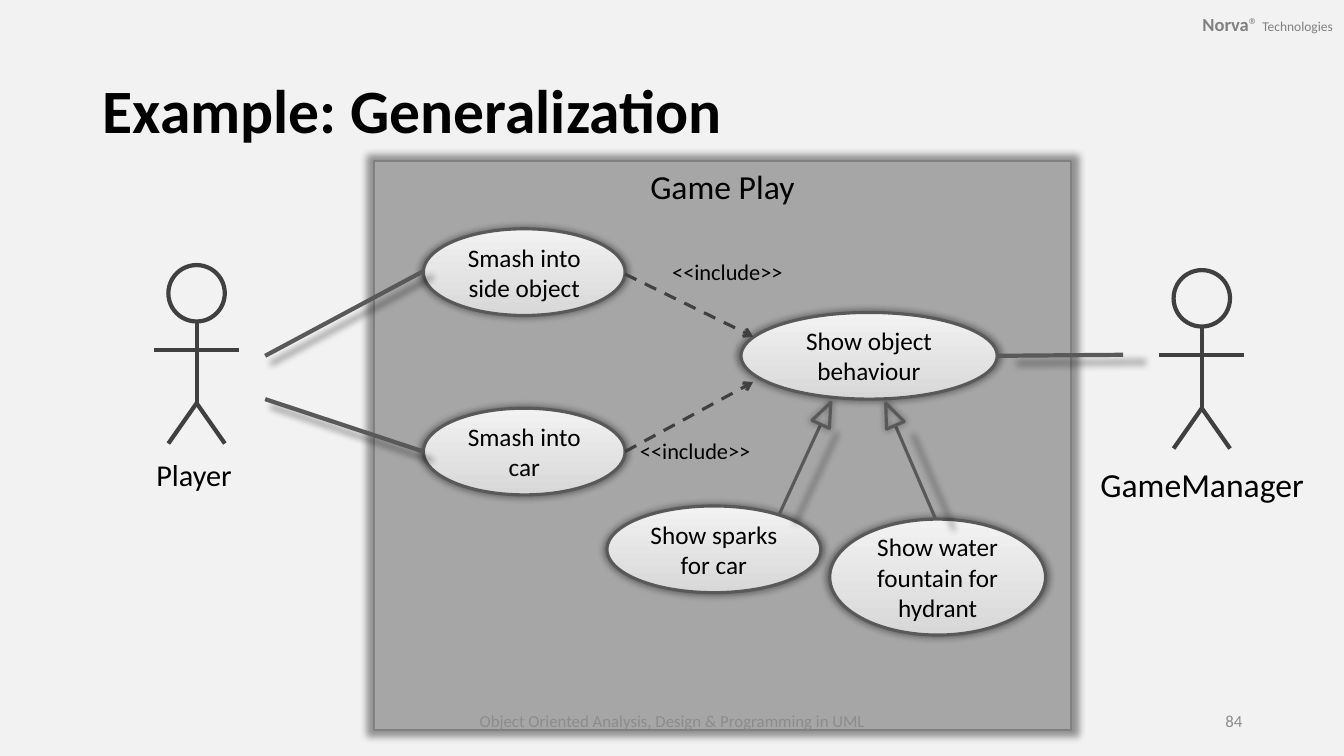
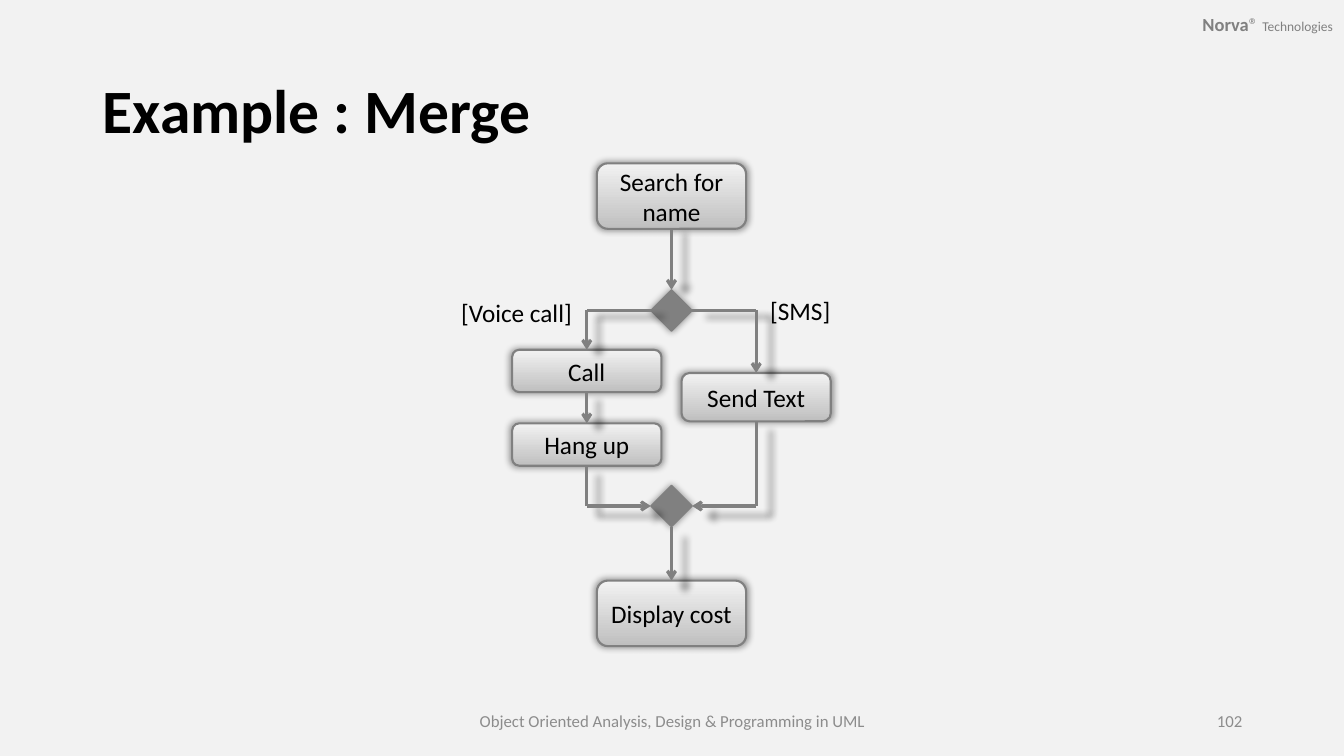
import dataclasses
import math

import lxml.etree
import pptx
import pptx.dml.color
import pptx.enum.dml
import pptx.enum.shapes
import pptx.enum.text
import pptx.oxml.ns
import pptx.util

Inches = pptx.util.Inches
Shape = pptx.enum.shapes.MSO_SHAPE
Align = pptx.enum.text.PP_ALIGN
Anchor = pptx.enum.text.MSO_ANCHOR
TOP, LEFT, BOTTOM, RIGHT = range(4)


@dataclasses.dataclass(frozen=True)
class Theme:
    font: str = "Calibri"
    background: str = "F2F2F2"
    ink: str = "000000"
    muted: str = "8C8C8C"
    grey: str = "808080"
    system: str = "A6A6A6"
    relation: str = "595959"
    actor: str = "404040"
    use_case: tuple = ("D8D8D8", "F2F2F2")
    activity: tuple = ("BFBFBF", "F2F2F2")
    title_size: float = 44
    heading_size: float = 24
    actor_size: float = 21.6
    body_size: float = 18
    include_size: float = 16
    tag_size: float = 13.2
    tag_small_size: float = 9.6
    footer_size: float = 12


THEME = Theme()


def rgb(value):
    return pptx.dml.color.RGBColor.from_string(value)


def write(frame, text, size=THEME.body_size, color=THEME.ink, bold=False,
          alignment=Align.CENTER, anchor=Anchor.MIDDLE):
    frame.word_wrap = True
    frame.vertical_anchor = anchor
    paragraph = frame.paragraphs[0]
    paragraph.alignment = alignment
    run = paragraph.add_run()
    run.text = text
    run.font.name = THEME.font
    run.font.size = pptx.util.Pt(size)
    run.font.bold = bold
    run.font.color.rgb = rgb(color)
    return paragraph


def add_label(shapes, text, left, top, width, height, **text_format):
    box = shapes.add_textbox(Inches(left), Inches(top), Inches(width), Inches(height))
    write(box.text_frame, text, **text_format)
    return box


def child(parent, tag, **attributes):
    return lxml.etree.SubElement(parent, pptx.oxml.ns.qn(tag), **attributes)


def set_effects(shape, shadow):
    effects = child(shape._element.spPr, "a:effectLst")
    if shadow:
        outer = child(effects, "a:outerShdw", blurRad="63500", sx="102000",
                      sy="102000", algn="ctr", rotWithShape="0")
        color = child(outer, "a:srgbClr", val=THEME.ink)
        child(color, "a:alpha", val="40000")


def set_line(shape, color, width):
    shape.line.color.rgb = rgb(color)
    shape.line.width = pptx.util.Pt(width)


def add_figure(shapes, kind, left, top, width, height, fill=None,
               line=THEME.relation, line_width=2.25, shadow=True):
    shape = shapes.add_shape(kind, Inches(left), Inches(top), Inches(width), Inches(height))
    if fill is None:
        shape.fill.background()
    elif isinstance(fill, tuple):
        shape.fill.gradient()
        shape.fill.gradient_angle = 90
        for stop, color in zip(shape.fill.gradient_stops, fill):
            stop.color.rgb = rgb(color)
    else:
        shape.fill.solid()
        shape.fill.fore_color.rgb = rgb(fill)
    set_line(shape, line, line_width)
    set_effects(shape, shadow)
    return shape


def add_line(shapes, begin, end, color=THEME.relation, width=3, shadow=True,
             arrow=False, dashed=False):
    points = [(0, 0) if hasattr(place[0], "shape_id") else place for place in (begin, end)]
    (begin_x, begin_y), (end_x, end_y) = points
    connector = shapes.add_connector(pptx.enum.shapes.MSO_CONNECTOR.STRAIGHT,
                                     Inches(begin_x), Inches(begin_y),
                                     Inches(end_x), Inches(end_y))
    if begin is not points[0]:
        connector.begin_connect(*begin)
    if end is not points[1]:
        connector.end_connect(*end)
    set_line(connector, color, width)
    if dashed:
        connector.line.dash_style = pptx.enum.dml.MSO_LINE.DASH
    if arrow:
        outline = connector._element.spPr.find(pptx.oxml.ns.qn("a:ln"))
        child(outline, "a:tailEnd", type="arrow")
    set_effects(connector, shadow)


def add_actor(slide, left, top):
    shapes = slide.shapes.add_group_shape().shapes
    head = 0.56
    center, neck, arms = left + head / 2, top + head, top + 0.84
    hip, feet = top + 1.37, top + 1.77
    add_figure(shapes, Shape.OVAL, left, top, head, head,
               line=THEME.actor, line_width=3, shadow=False)
    for begin, end in (
        ((center, neck), (center, hip)),
        ((center - 0.42, arms), (center + 0.42, arms)),
        ((center, hip), (left + head, feet)),
        ((left, feet), (center, hip)),
    ):
        add_line(shapes, begin, end, color=THEME.actor, shadow=False)


def add_use_case(slide, text, left, top, width, height=0.86):
    shape = add_figure(slide.shapes, Shape.OVAL, left, top, width, height, THEME.use_case)
    write(shape.text_frame, text)


def add_include(slide, begin, end, label_left, label_top):
    add_line(slide.shapes, begin, end, color=THEME.actor, width=2.25,
             shadow=False, arrow=True, dashed=True)
    add_label(slide.shapes, "<<include>>", label_left, label_top, 1.31, 0.37,
              size=THEME.include_size, anchor=Anchor.TOP)


def add_generalization(slide, begin, end):
    width, height = 0.19, 0.24
    angle = math.atan2(end[0] - begin[0], begin[1] - end[1])
    center_x = end[0] + height / 2 * math.sin(angle)
    center_y = end[1] - height / 2 * math.cos(angle)
    add_line(slide.shapes, begin, end, width=2.25)
    head = add_figure(slide.shapes, Shape.ISOSCELES_TRIANGLE,
                      center_x - width / 2, center_y - height / 2, width, height)
    head.rotation = math.degrees(angle)


def add_activity(slide, text, center, top, height):
    width = 1.48
    shape = add_figure(slide.shapes, Shape.ROUNDED_RECTANGLE, center - width / 2, top,
                       width, height, THEME.activity, THEME.grey, 1.5)
    write(shape.text_frame, text)
    return shape


def add_diamond(slide, center_x, center_y):
    side = 0.41
    return add_figure(slide.shapes, Shape.DIAMOND, center_x - side / 2, center_y - side / 2,
                      side, side, THEME.grey, THEME.grey, 1)


def add_slide(presentation, title_text):
    slide = presentation.slides.add_slide(presentation.slide_layouts[5])
    tag = add_label(slide.shapes, "Norva", 11.41, 0.01, 1.93, 0.45, size=THEME.tag_size,
                    color=THEME.grey, bold=True, alignment=Align.RIGHT)
    frame = tag.text_frame
    frame.margin_left = frame.margin_right = Inches(0.12)
    frame.margin_top = frame.margin_bottom = Inches(0.06)
    for text, size in (("® ", THEME.tag_size), ("Technologies", THEME.tag_small_size)):
        write(frame, text, size=size, color=THEME.grey, alignment=Align.RIGHT)
    title = slide.shapes.title
    title.left, title.top = Inches(0.92), Inches(0.4)
    title.width, title.height = Inches(11.5), Inches(1.45)
    title.text_frame.auto_size = pptx.enum.text.MSO_AUTO_SIZE.NONE
    paragraph = write(title.text_frame, title_text, size=THEME.title_size, bold=True,
                      alignment=Align.LEFT)
    paragraph.line_spacing = 0.9
    return slide


def add_footer(slide, number):
    for text, left, width, alignment in (
        ("Object Oriented Analysis, Design & Programming in UML", 4.42, 4.5, Align.CENTER),
        (number, 9.42, 3, Align.RIGHT),
    ):
        add_label(slide.shapes, text, left, 6.95, width, 0.4, size=THEME.footer_size,
                  color=THEME.muted, alignment=alignment)


def build_generalization(presentation):
    slide = add_slide(presentation, "Example: Generalization")
    system = add_figure(slide.shapes, Shape.RECTANGLE, 3.71, 1.6, 6.91, 5.64,
                        THEME.system, THEME.grey, 1.5)
    write(system.text_frame, "Game Play", size=THEME.heading_size, anchor=Anchor.TOP)
    for use_case in (
        ("Smash into side object", 4.2, 2.27, 2),
        ("Smash into car", 4.2, 4.05, 2),
        ("Show object behaviour", 7.35, 3.1, 2.54),
        ("Show sparks for car", 6.02, 5.02, 2.12),
        ("Show water fountain for hydrant", 8.23, 5.15, 2.14, 1.15),
    ):
        add_use_case(slide, *use_case)
    for begin, end in (
        ((2.63, 3.53), (4.2, 2.69)),
        ((2.63, 3.96), (4.2, 4.48)),
        ((9.89, 3.53), (11.14, 3.52)),
    ):
        add_line(slide.shapes, begin, end)
    add_actor(slide, 1.67, 2.63)
    add_label(slide.shapes, "Player", 1.14, 4.48, 1.57, 0.46,
              size=THEME.actor_size, anchor=Anchor.TOP)
    add_actor(slide, 11.64, 2.68)
    add_label(slide.shapes, "GameManager", 10.78, 4.55, 2.25, 0.5,
              size=THEME.heading_size, alignment=Align.RIGHT, anchor=Anchor.TOP)
    add_include(slide, (6.2, 2.72), (7.47, 3.34), 6.56, 2.51)
    add_include(slide, (6.2, 4.48), (7.47, 3.79), 6.24, 4.29)
    add_generalization(slide, (7.73, 5.1), (8.14, 4.21))
    add_generalization(slide, (9.28, 5.15), (8.88, 4.22))
    add_footer(slide, "84")


def build_merge(presentation):
    slide = add_slide(presentation, "Example : Merge")
    voice_x, main_x, text_x = 5.82, 6.66, 7.5
    decision_y, merge_y = 3.08, 5.02
    search = add_activity(slide, "Search for name", main_x, 1.62, 0.65)
    call = add_activity(slide, "Call", voice_x, 3.47, 0.42)
    hang_up = add_activity(slide, "Hang up", voice_x, 4.2, 0.42)
    send_text = add_activity(slide, "Send Text", text_x, 3.7, 0.48)
    display = add_activity(slide, "Display cost", main_x, 5.76, 0.65)
    decision = add_diamond(slide, main_x, decision_y)
    merge = add_diamond(slide, main_x, merge_y)
    for begin, end, arrow in (
        ((search, BOTTOM), (decision, TOP), True),
        ((decision, LEFT), (voice_x, decision_y), False),
        ((voice_x, decision_y), (call, TOP), True),
        ((call, BOTTOM), (hang_up, TOP), True),
        ((hang_up, BOTTOM), (voice_x, merge_y), False),
        ((voice_x, merge_y), (merge, LEFT), True),
        ((decision, RIGHT), (text_x, decision_y), False),
        ((text_x, decision_y), (send_text, TOP), True),
        ((send_text, BOTTOM), (text_x, merge_y), False),
        ((text_x, merge_y), (merge, RIGHT), True),
        ((merge, BOTTOM), (display, TOP), True),
    ):
        add_line(slide.shapes, begin, end, color=THEME.grey, width=2.25, arrow=arrow)
    add_label(slide.shapes, "[SMS]", 7.54, 2.88, 2.01, 0.4,
              alignment=Align.LEFT, anchor=Anchor.TOP)
    add_label(slide.shapes, "[Voice call]", 3.76, 2.9, 2.01, 0.4,
              alignment=Align.RIGHT, anchor=Anchor.TOP)
    add_footer(slide, "102")


def main():
    presentation = pptx.Presentation()
    presentation.slide_width, presentation.slide_height = Inches(13.33), Inches(7.5)
    background = presentation.slide_master.background.fill
    background.solid()
    background.fore_color.rgb = rgb(THEME.background)
    build_generalization(presentation)
    build_merge(presentation)
    presentation.save("out.pptx")


if __name__ == "__main__":
    main()
